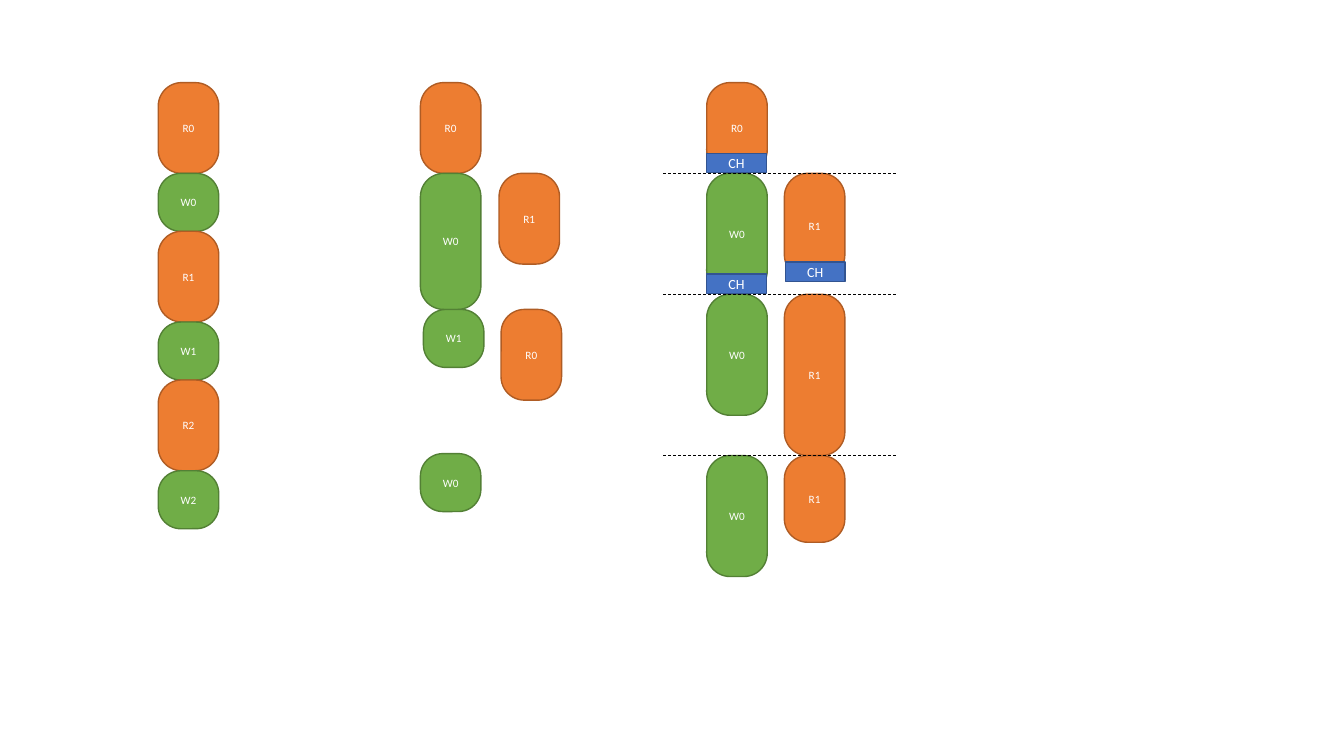
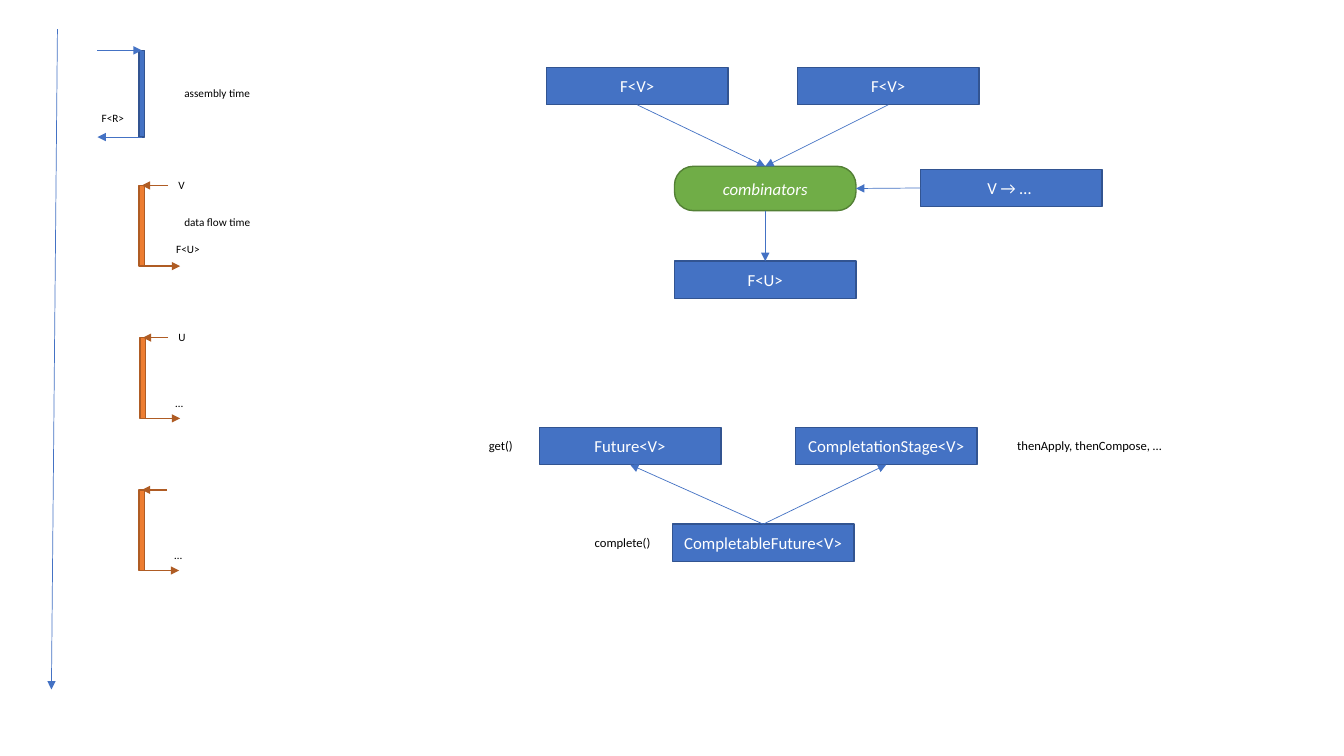
from dataclasses import dataclass

from lxml import etree
from pptx import Presentation
from pptx.dml.color import RGBColor
from pptx.enum.dml import MSO_LINE
from pptx.enum.shapes import MSO_CONNECTOR, MSO_SHAPE
from pptx.enum.text import MSO_ANCHOR, MSO_AUTO_SIZE, PP_ALIGN
from pptx.oxml.ns import qn
from pptx.shapes.autoshape import Shape
from pptx.shapes.connector import Connector
from pptx.slide import Slide
from pptx.text.text import TextFrame
from pptx.util import Inches, Pt

RECT, ROUND = MSO_SHAPE.RECTANGLE, MSO_SHAPE.ROUNDED_RECTANGLE
STRAIGHT, DASH = MSO_CONNECTOR.STRAIGHT, MSO_LINE.DASH
MIDDLE, CENTER, LEFT_ALIGN = MSO_ANCHOR.MIDDLE, PP_ALIGN.CENTER, PP_ALIGN.LEFT
FIT = MSO_AUTO_SIZE.SHAPE_TO_FIT_TEXT
TOP, LEFT, BOTTOM, RIGHT = range(4)

COLORS = {
    "blue": "4472C4", "blue_edge": "325491",
    "orange": "ED7D31", "orange_edge": "AF5C24",
    "green": "70AD47", "green_edge": "538035",
    "white": "FFFFFF", "black": "000000",
}
FONT = "Calibri"
CELL = 0.1
TASK_W, READ_H, WRITE_H = 6, 9, 5.75
CHECK_H = 1.9
NODE_W, NODE_H = 18, 3.7
BAR_W = 0.54


@dataclass(frozen=True)
class Stack:
    col: float
    row: float
    tasks: tuple[tuple[str, float], ...]


@dataclass(frozen=True)
class Activation:
    col: float
    row: float
    height: float
    tone: str
    arrow: str
    weight: float
    call_reach: float
    return_reach: float


@dataclass(frozen=True)
class Label:
    text: str
    col: float
    row: float
    width: float
    size: int = 8


@dataclass(frozen=True)
class Node:
    key: str
    text: str
    col: float
    row: float


@dataclass(frozen=True)
class Link:
    start: str
    start_side: int
    end: str
    end_side: int


STACKS = (
    Stack(15.7, 8.2, tuple(
        task for i in range(3) for task in ((f"R{i}", READ_H), (f"W{i}", WRITE_H)))),
    Stack(41.7, 8.2, (("R0", READ_H), ("W0", 13.5))),
    Stack(49.5, 17.2, (("R1", READ_H),)),
    Stack(42, 30.7, (("W1", WRITE_H),)),
    Stack(49.7, 30.7, (("R0", READ_H),)),
    Stack(41.7, 45, (("W0", WRITE_H),)),
    Stack(70.1, 8.2, (("R0", READ_H), ("W0", 12), ("W0", 12))),
    Stack(77.8, 17.2, (("R1", 10.4),)),
    Stack(77.8, 29.2, (("R1", 16), ("R1", 8.6))),
    Stack(70.1, 45.2, (("W0", 12),)),
)
BARRIERS = (17.2, 29.2, 45.2)
CHECKS = ((70.1, 27.2), (77.9, 26), (70.1, 15.2))

ACTIVATIONS = (
    Activation(13.8, 5, 8.6, "blue", "blue", 0.5, -4.4, -4.4),
    Activation(13.8, 18.4, 8, "orange", "orange_edge", 1, 2.6, 3.8),
    Activation(13.9, 33.5, 8, "orange", "orange_edge", 1, 2.5, 3.7),
    Activation(13.8, 48.6, 8, "orange", "orange_edge", 1, 2.5, 3.7),
)
LABELS = (
    Label("F<R>", 9.1, 10.6, 4.3),
    Label("assembly time", 17.3, 8.1, 8.6),
    Label("V", 16.7, 17.2, 2.7),
    Label("F<U>", 16.5, 23.6, 4.4),
    Label("data flow time", 17.3, 20.9, 8.7),
    Label("U", 16.7, 32.3, 2.7),
    Label("…", 16.4, 38.8, 2.9),
    Label("…", 16.3, 53.9, 2.9),
    Label("get()", 47.5, 42.9, 4.4, 9),
    Label("thenApply, thenCompose, …", 99.9, 42.9, 16.9, 9),
    Label("complete()", 58, 52.6, 7.6, 9),
)
NODES = (
    Node("left input", "F<V>", 54.2, 6.7),
    Node("right input", "F<V>", 79.1, 6.7),
    Node("function", "V → … ", 91.3, 16.8),
    Node("result", "F<U>", 66.9, 25.9),
    Node("future", "Future<V>", 53.5, 42.4),
    Node("stage", "CompletationStage<V>", 78.9, 42.4),
    Node("completable", "CompletableFuture<V>", 66.7, 52),
)
LINKS = (
    Link("left input", BOTTOM, "combinators", TOP),
    Link("right input", BOTTOM, "combinators", TOP),
    Link("function", LEFT, "combinators", RIGHT),
    Link("combinators", BOTTOM, "result", TOP),
    Link("completable", TOP, "stage", BOTTOM),
    Link("completable", TOP, "future", BOTTOM),
)


def grid(*cells: float) -> list[int]:
    return [Inches(cell * CELL) for cell in cells]


def rgb(name: str) -> RGBColor:
    return RGBColor.from_string(COLORS[name])


def write(tf: TextFrame, text: str, size: float, color: str,
          align: PP_ALIGN, italic: bool = False) -> None:
    tf.text = text
    p = tf.paragraphs[0]
    p.alignment = align
    for r in p.runs:
        r.font.name, r.font.size = FONT, Pt(size)
        r.font.color.rgb = rgb(color)
        if italic:
            r.font.italic = True


def add_box(s: Slide, kind: MSO_SHAPE, col: float, row: float, width: float,
            height: float, tone: str, text: str = "", size: float = 12,
            corner: float = 0, italic: bool = False) -> Shape:
    sp = s.shapes.add_shape(kind, *grid(col, row, width, height))
    sp.shadow.inherit = False
    sp.fill.solid()
    sp.fill.fore_color.rgb = rgb(tone)
    sp.line.color.rgb = rgb(f"{tone}_edge")
    sp.line.width = Pt(1)
    if corner:
        sp.adjustments[0] = corner
    if text:
        sp.text_frame.vertical_anchor = MIDDLE
        write(sp.text_frame, text, size, "white", CENTER, italic)
    return sp


def add_line(s: Slide, x1: float, y1: float, x2: float, y2: float, color: str,
             weight: float = 0.5, arrow: bool = True) -> Connector:
    line = s.shapes.add_connector(STRAIGHT, *grid(x1, y1, x2, y2))
    line.line.color.rgb = rgb(color)
    line.line.width = Pt(weight)
    if arrow:
        etree.SubElement(line.get_or_add_ln(), qn("a:tailEnd"), type="triangle")
    else:
        line.line.dash_style = DASH
    etree.SubElement(line.element.spPr, qn("a:effectLst"))
    return line


def add_label(s: Slide, label: Label) -> None:
    height = 2.4 if label.size == 8 else 2.5
    sp = s.shapes.add_textbox(*grid(label.col, label.row, label.width, height))
    tf = sp.text_frame
    tf.word_wrap = False
    tf.auto_size = FIT
    write(tf, label.text, label.size, "black", LEFT_ALIGN)


def add_stack(s: Slide, stack: Stack) -> None:
    row = stack.row
    for name, height in stack.tasks:
        tone = "orange" if name.startswith("R") else "green"
        add_box(s, ROUND, stack.col, row, TASK_W, height, tone, name, 8, 0.387)
        row += height


def add_activation(s: Slide, act: Activation) -> None:
    add_box(s, RECT, act.col, act.row, BAR_W, act.height, act.tone)
    mid, end = act.col + BAR_W / 2, act.row + act.height
    add_line(s, mid + act.call_reach, act.row, mid, act.row, act.arrow, act.weight)
    add_line(s, mid, end, mid + act.return_reach, end, act.arrow, act.weight)


def add_link(s: Slide, link: Link, boxes: dict[str, Shape]) -> None:
    line = add_line(s, 0, 0, 0, 0, "blue")
    line.begin_connect(boxes[link.start], link.start_side)
    line.end_connect(boxes[link.end], link.end_side)


def draw_schedules(s: Slide) -> None:
    for stack in STACKS:
        add_stack(s, stack)
    for row in BARRIERS:
        add_line(s, 65.8, row, 88.9, row, "black", arrow=False)
    for col, row in CHECKS:
        add_box(s, RECT, col, row, TASK_W - 0.1, CHECK_H, "blue", "CH", 10)


def draw_futures(s: Slide) -> None:
    add_line(s, 5.7, 2.9, 5.1, 68.4, "blue")
    for act in ACTIVATIONS:
        add_activation(s, act)
    for label in LABELS:
        add_label(s, label)
    boxes = {n.key: add_box(s, RECT, n.col, n.row, NODE_W, NODE_H, "blue", n.text)
             for n in NODES}
    boxes["combinators"] = add_box(s, ROUND, 66.9, 16.5, NODE_W, 4.4, "green",
                                   "combinators", corner=0.424, italic=True)
    for link in LINKS:
        add_link(s, link, boxes)


prs = Presentation()
prs.slide_width, prs.slide_height = Inches(13.33), Inches(7.5)
for draw in (draw_schedules, draw_futures):
    draw(prs.slides.add_slide(prs.slide_layouts[6]))
prs.save("out.pptx")
